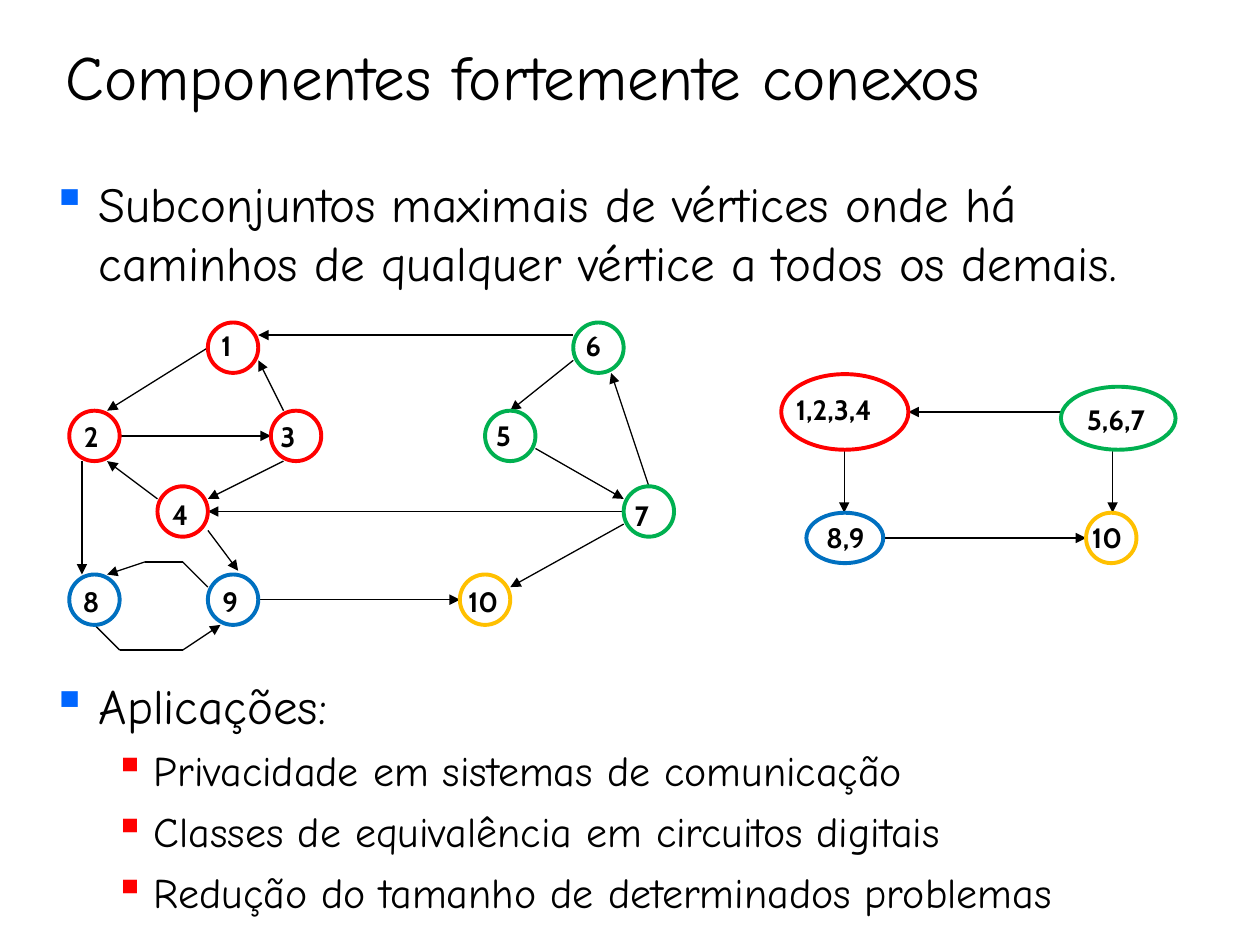
from itertools import pairwise

from lxml.etree import SubElement
from pptx import Presentation
from pptx.dml.color import RGBColor
from pptx.enum.shapes import MSO_CONNECTOR, MSO_SHAPE
from pptx.enum.text import MSO_ANCHOR, PP_ALIGN
from pptx.oxml.ns import qn
from pptx.util import Pt

BLACK = RGBColor(0, 0, 0)
RED = RGBColor(0xFF, 0, 0)
GREEN = RGBColor(0, 0xB0, 0x50)
BLUE = RGBColor(0, 0x70, 0xC0)
YELLOW = RGBColor(0xFF, 0xC0, 0)
BULLET_BLUE = RGBColor(0, 0x66, 0xFF)

UNIT = 7.2
LEFT, TOP = 39.6, 184.3


def write(para, text, size, font="Comic Neue", bold=False, before=0,
          bullet=None, indent=0, hanging=0):
    para.alignment = PP_ALIGN.LEFT
    para.space_before = Pt(before)
    props = para._p.get_or_add_pPr()
    props.set("marL", str(Pt(indent)))
    props.set("indent", str(Pt(-hanging)))
    if bullet is not None:
        color = SubElement(props, qn("a:buClr"))
        SubElement(color, qn("a:srgbClr")).set("val", str(bullet))
        SubElement(props, qn("a:buChar")).set("char", "▪")
    span = para.add_run()
    span.text = text
    span.font.name = font
    span.font.size = Pt(size)
    span.font.bold = bold
    span.font.color.rgb = BLACK


def add_text_box(left, top, width, height):
    box = page.shapes.add_textbox(Pt(left), Pt(top), Pt(width), Pt(height))
    box.text_frame.word_wrap = True
    return box.text_frame


deck = Presentation()
deck.slide_width, deck.slide_height = Pt(720), Pt(540)
page = deck.slides.add_slide(deck.slide_layouts[5])

title = page.shapes.title
title.left, title.top, title.width, title.height = Pt(30.2), Pt(18), Pt(653.8), Pt(50.4)
title.text_frame.vertical_anchor = MSO_ANCHOR.BOTTOM
write(title.text_frame.paragraphs[0], "Componentes fortemente conexos", 36)

top_level = dict(size=28, before=7, bullet=BULLET_BLUE, indent=27, hanging=27)
sub_level = dict(size=24, before=6, bullet=RED, indent=58.5, hanging=22.5)

definition = add_text_box(22.3, 95.8, 680.4, 84.2)
write(definition.paragraphs[0],
      "Subconjuntos maximais de vértices onde há caminhos de qualquer vértice "
      "a todos os demais.", **top_level)

applications = add_text_box(22.3, 382.3, 680.4, 146.2)
write(applications.paragraphs[0], "Aplicações:", **top_level)
for text in ("Privacidade em sistemas de comunicação",
             "Classes de equivalência em circuitos digitais",
             "Redução do tamanho de determinados problemas"):
    write(applications.add_paragraph(), text, **sub_level)

edges = [
    [(40, 1), (15, 1)],
    [(46, 13), (43, 4)],
    [(44, 16), (35, 21)],
    [(15, 22), (31, 22)],
    [(2, 24), (4, 26), (9, 26), (12, 24)],
    [(11, 21), (9, 19), (6, 19), (3, 20)],
    [(1, 11), (1, 20)],
    [(4, 9), (16, 9)],
    [(17, 11), (11, 14)],
    [(7, 14), (3, 11)],
    [(44, 15), (11, 15)],
    [(40, 3), (35, 7)],
    [(37, 10), (44, 14)],
    [(17, 7), (15, 3)],
    [(11, 2), (3, 7)],
    [(11, 16.5), (13.4, 19.7)],
    [(78.7, 7.1), (66.6, 7.1)],
    [(61.5, 10.1), (61.5, 15.1)],
    [(64.6, 17.1), (80.7, 17.1)],
    [(82.8, 10.1), (82.8, 15.1)],
]
for points in edges:
    for start, end in pairwise(points):
        line = page.shapes.add_connector(
            MSO_CONNECTOR.STRAIGHT,
            Pt(LEFT + start[0] * UNIT), Pt(TOP + start[1] * UNIT),
            Pt(LEFT + end[0] * UNIT), Pt(TOP + end[1] * UNIT))
        line.line.color.rgb = BLACK
        line.line.width = Pt(0.75)
        SubElement(line._element.spPr, qn("a:effectLst"))
    SubElement(line.line._get_or_add_ln(), qn("a:tailEnd")).set("type", "triangle")

vertices = [
    ("1", RED, (11, 0), (10.1, 0)),
    ("2", RED, (0, 7), (-0.8, 7.2)),
    ("3", RED, (16, 7), (14.8, 7.2)),
    ("4", RED, (7, 13), (6.2, 13.4)),
    ("5", GREEN, (33, 7), (31.9, 7.1)),
    ("6", GREEN, (40, 0), (39, 0)),
    ("7", GREEN, (44, 13), (42.9, 13.5)),
    ("8", BLUE, (0, 20), (-0.9, 20.3)),
    ("9", BLUE, (11, 20), (10.2, 20.3)),
    ("10", YELLOW, (31, 20), (29.7, 20.3)),
]
components = [
    ("1,2,3,4", RED, (56.5, 4.1), (56.2, 5.1), (10.1, 6), 10.9, 3.5),
    ("5,6,7", GREEN, (78.7, 5.1), (79.3, 5.9), (9.1, 5), 8.9, 3.5),
    ("8,9", BLUE, (58.5, 15.1), (58.6, 15.2), (6.1, 4), 7, 3.5),
    ("10", YELLOW, (80.7, 15.1), (79.7, 15.2), (4, 4), 6.6, 3.5),
]
nodes = [(*vertex, (4, 4), 8.4 if vertex[0] == "10" else 5.5, 7) for vertex in vertices]
for name, color, (x, y), (label_x, label_y), (width, height), label_width, indent in nodes + components:
    oval = page.shapes.add_shape(
        MSO_SHAPE.OVAL, Pt(LEFT + x * UNIT), Pt(TOP + y * UNIT),
        Pt(width * UNIT), Pt(height * UNIT))
    oval.shadow.inherit = False
    oval.fill.background()
    oval.line.color.rgb = color
    oval.line.width = Pt(2.25)
    label = add_text_box(LEFT + label_x * UNIT, TOP + label_y * UNIT,
                         label_width * UNIT, 26.6)
    write(label.paragraphs[0], name, 16, font="Cabin", bold=True, indent=indent)

deck.save("out.pptx")
